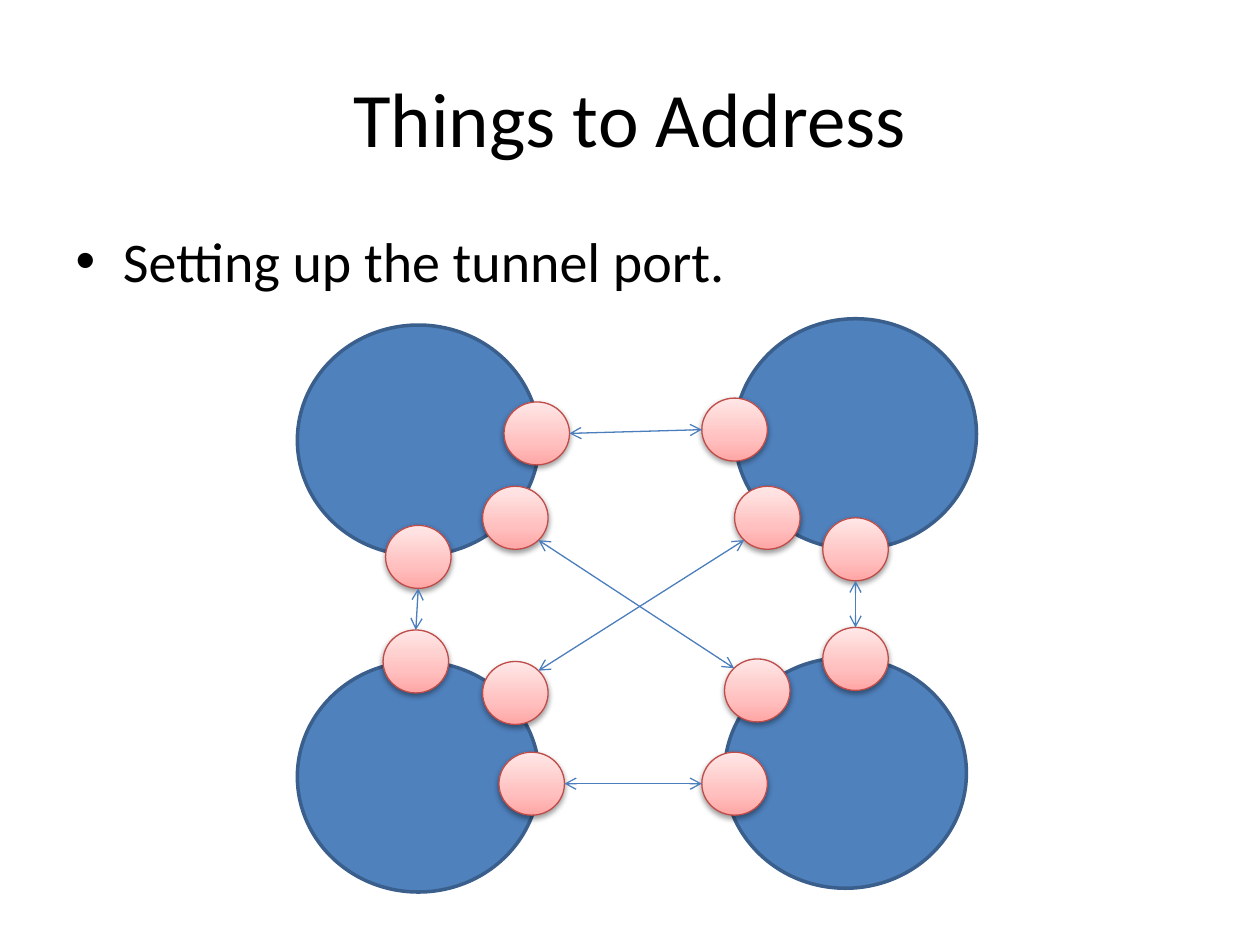
import copy
import math

import pptx
import pptx.dml.color
import pptx.enum.shapes
import pptx.enum.text
import pptx.oxml
import pptx.oxml.ns
import pptx.util
from pptx.util import Inches

qn = pptx.oxml.ns.qn
DRAWING = 'xmlns:a="http://schemas.openxmlformats.org/drawingml/2006/main"'


def color(value):
    return pptx.dml.color.RGBColor.from_string(value)


def add_circle(left, top, width, height, line_color, line_width):
    shape = slide.shapes.add_shape(
        pptx.enum.shapes.MSO_SHAPE.OVAL,
        Inches(left), Inches(top), Inches(width), Inches(height))
    shape.line.color.rgb = color(line_color)
    shape.line.width = pptx.util.Pt(line_width)
    shape.shadow.inherit = False
    return shape


presentation = pptx.Presentation()
presentation.slide_width = Inches(10)
presentation.slide_height = Inches(7.5)
slide = presentation.slides.add_slide(presentation.slide_layouts[1])

# Title and bullet
title, body = slide.placeholders
for placeholder, text, top, height, size in [
    (title, "Things to Address", 0.3, 1.25, 44),
    (body, "Setting up the tunnel port.", 1.75, 4.95, 32),
]:
    placeholder.left, placeholder.top = Inches(0.5), Inches(top)
    placeholder.width, placeholder.height = Inches(9), Inches(height)
    placeholder.text_frame.text = text
    font = placeholder.text_frame.paragraphs[0].runs[0].font
    font.name = "Calibri"
    font.size = pptx.util.Pt(size)
    font.color.rgb = color("000000")
title.text_frame.vertical_anchor = pptx.enum.text.MSO_ANCHOR.MIDDLE
title.text_frame.paragraphs[0].alignment = pptx.enum.text.PP_ALIGN.CENTER

# Nodes
for left, top in [(2.36, 2.58), (2.36, 5.25), (5.75, 5.22), (5.83, 2.53)]:
    node = add_circle(left, top, 1.92, 1.83, "3A5F8C", 2)
    node.fill.solid()
    node.fill.fore_color.rgb = color("4F81BD")

# Tunnel ports, with a gradient and a soft shadow
PORT_WIDTH, PORT_HEIGHT = 0.52, 0.5
PORT_STOPS = [(0, "FFA6A5"), (0.35, "FFC0BF"), (1, "FFE7E7")]
ports = {
    "top left, down": (3.06, 4.17),
    "top left, right": (4.0, 3.19),
    "top left, diagonal": (3.83, 3.86),
    "top right, down": (6.53, 4.11),
    "top right, left": (5.57, 3.16),
    "top right, diagonal": (5.83, 3.86),
    "bottom right, left": (5.57, 5.97),
    "bottom right, up": (6.53, 4.98),
    "bottom right, diagonal": (5.75, 5.23),
    "bottom left, up": (3.04, 5.0),
    "bottom left, diagonal": (3.83, 5.25),
    "bottom left, right": (3.96, 5.97),
}
for left, top in ports.values():
    port = add_circle(left, top, PORT_WIDTH, PORT_HEIGHT, "BF4C48", 0.75)
    port.fill.gradient()
    port.fill.gradient_angle = 90
    stop_list = port._element.spPr.find(".//" + qn("a:gsLst"))
    stop_list.insert(1, copy.deepcopy(stop_list[0]))
    for stop, (position, value) in zip(port.fill.gradient_stops, PORT_STOPS):
        stop.position = position
        stop.color.rgb = color(value)
    port._element.spPr.find(qn("a:effectLst")).append(pptx.oxml.parse_xml(
        f'<a:outerShdw {DRAWING} blurRad="40000" dist="20000" dir="5400000" '
        'rotWithShape="0"><a:srgbClr val="000000"><a:alpha val="38000"/>'
        '</a:srgbClr></a:outerShdw>'))

# Tunnels: each leaves a port at an angle, clockwise from the right
for start, start_angle, end, end_angle in [
    ("top left, diagonal", 45, "bottom right, diagonal", 225),
    ("top left, right", 0, "top right, left", 180),
    ("top left, down", 90, "bottom left, up", 270),
    ("bottom left, diagonal", 315, "top right, diagonal", 135),
    ("bottom left, right", 0, "bottom right, left", 180),
    ("top right, down", 90, "bottom right, up", 270),
]:
    points = []
    for name, angle in [(start, start_angle), (end, end_angle)]:
        left, top = ports[name]
        turn = math.radians(angle)
        points.append(Inches(left + PORT_WIDTH / 2 * (1 + math.cos(turn))))
        points.append(Inches(top + PORT_HEIGHT / 2 * (1 + math.sin(turn))))
    tunnel = slide.shapes.add_connector(
        pptx.enum.shapes.MSO_CONNECTOR.STRAIGHT, *points)
    tunnel.line.color.rgb = color("4B7EBC")
    tunnel.line.width = pptx.util.Pt(0.75)
    line = tunnel._element.spPr.find(qn("a:ln"))
    for tag in ("headEnd", "tailEnd"):
        line.append(pptx.oxml.parse_xml(f'<a:{tag} {DRAWING} type="arrow"/>'))
    tunnel._element.spPr.append(
        pptx.oxml.parse_xml(f"<a:effectLst {DRAWING}/>"))

presentation.save("out.pptx")
